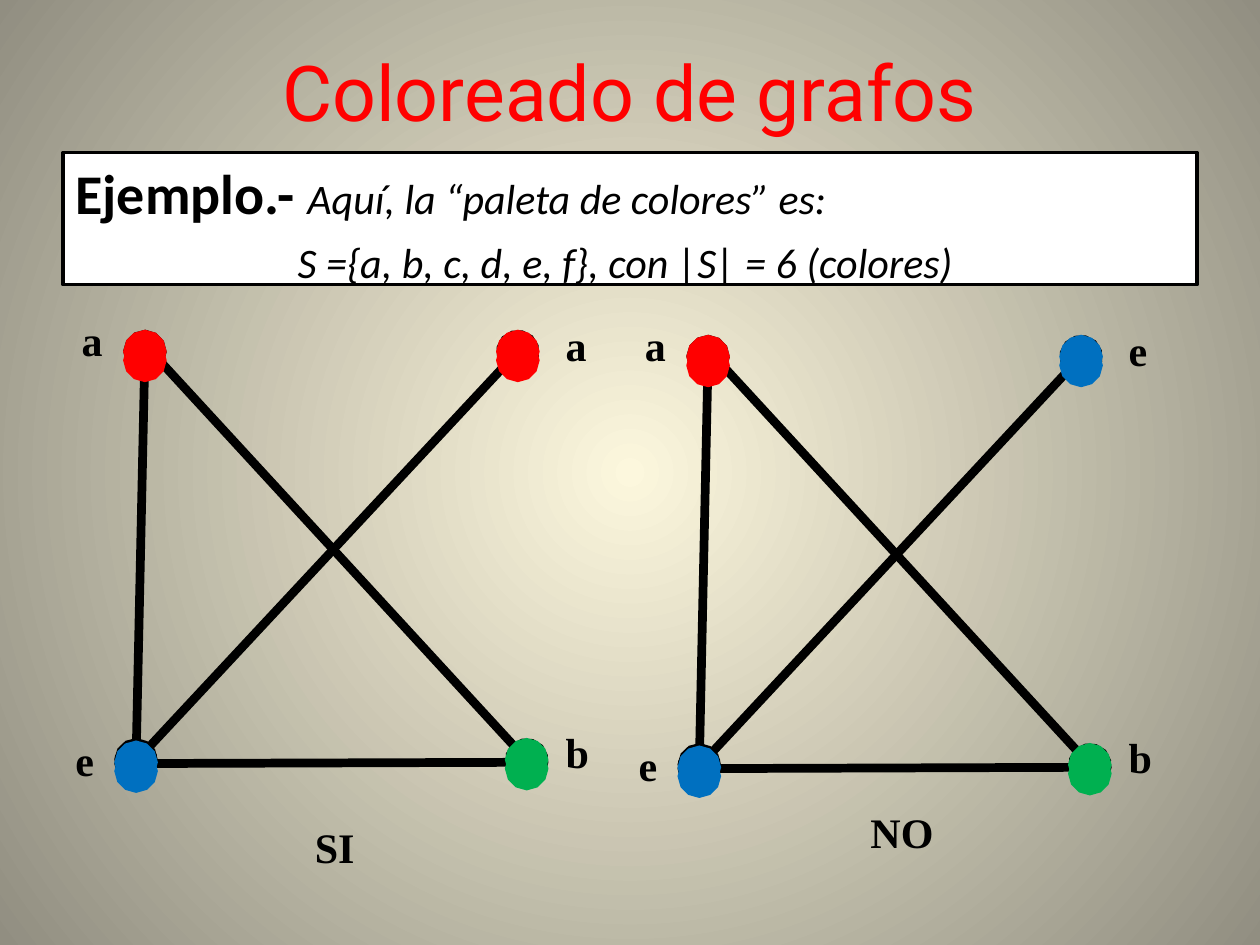
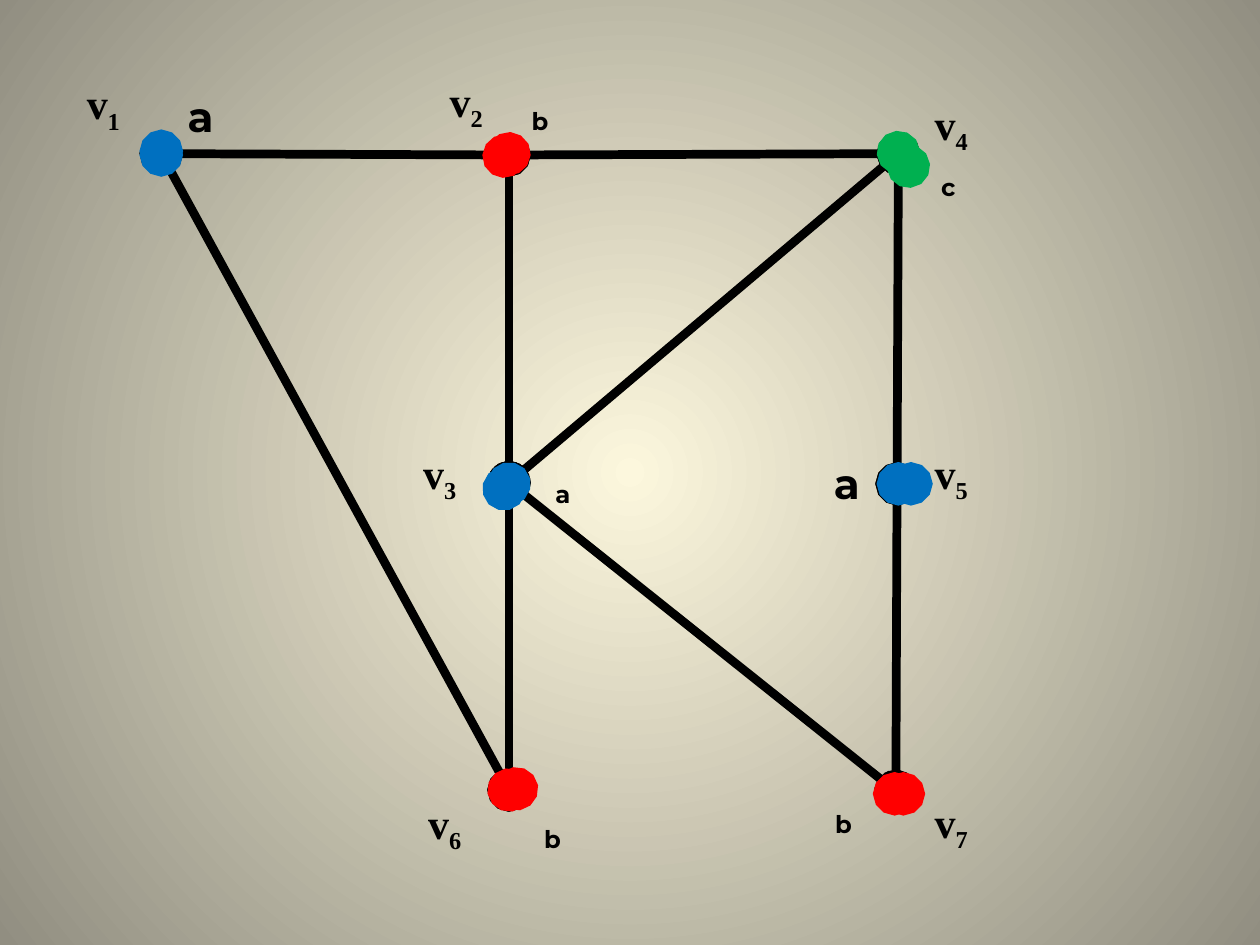
from lxml import etree
from pptx import Presentation
from pptx.dml.color import RGBColor
from pptx.enum.shapes import MSO_CONNECTOR, MSO_SHAPE
from pptx.enum.text import MSO_ANCHOR, MSO_AUTO_SIZE, PP_ALIGN
from pptx.oxml.ns import qn
from pptx.util import Inches, Pt

BLACK = RGBColor(0x00, 0x00, 0x00)
WHITE = RGBColor(0xFF, 0xFF, 0xFF)
RED = RGBColor(0xFF, 0x00, 0x00)
GREEN = RGBColor(0x00, 0xB0, 0x50)
BLUE = RGBColor(0x00, 0x70, 0xC0)
CREAM = RGBColor(0xFC, 0xF7, 0xDD)
TAUPE = RGBColor(0x91, 0x8E, 0x81)

SERIF = {"name": "Times New Roman", "size": Pt(24), "bold": True}
ROUND = {"name": "Montserrat", "size": Pt(24), "bold": True}
HEADING = {"name": "Roboto", "size": Pt(44)}
LEAD = {"name": "Calibri", "size": Pt(32), "bold": True}
REMARK = {"name": "Calibri", "size": Pt(24), "italic": True}


def draw_edge(slide, start, end, color=BLACK, tips=("headEnd", "tailEnd")):
    edge = slide.shapes.add_connector(
        MSO_CONNECTOR.STRAIGHT, *[Inches(v) for v in (*start, *end)])
    edge.line.width = Pt(5)
    edge.line.color.rgb = color
    outline = edge.element.find(".//" + qn("a:ln"))
    for tip in tips:
        etree.SubElement(outline, qn("a:" + tip), type="oval", w="lg", len="lg")
    etree.SubElement(outline.getparent(), qn("a:effectLst"))


def draw_label(slide, place, parts, style, wrap=False):
    label = slide.shapes.add_textbox(*[Inches(v) for v in place])
    frame = label.text_frame
    frame.word_wrap = wrap
    frame.auto_size = MSO_AUTO_SIZE.SHAPE_TO_FIT_TEXT
    for text, baseline in parts:
        run = frame.paragraphs[0].add_run()
        run.text = text
        run.font.color.rgb = BLACK
        for key, value in style.items():
            setattr(run.font, key, value)
    for props, (text, baseline) in zip(label.element.iter(qn("a:rPr")), parts):
        if baseline:
            props.set("baseline", str(baseline * 1000))


prs = Presentation()
prs.slide_width, prs.slide_height = Inches(10), Inches(7.5)

backdrop = prs.slide_master.background.fill
backdrop.gradient()
for stop, color in zip(backdrop.gradient_stops, (CREAM, TAUPE)):
    stop.color.rgb = color
gradient = prs.slide_master.element.find(".//" + qn("a:gradFill"))
circle = etree.Element(qn("a:path"), {"path": "circle"})
etree.SubElement(circle, qn("a:fillToRect"),
                 {side: "50000" for side in "ltrb"})
gradient.replace(gradient.find(qn("a:lin")), circle)

palette = prs.slides.add_slide(prs.slide_layouts[5])
heading = palette.shapes.title
for key, value in {"left": 0.5, "top": 0.3, "width": 9, "height": 1.25}.items():
    setattr(heading, key, Inches(value))
heading.text_frame.text = "Coloreado de grafos"
heading.text_frame.vertical_anchor = MSO_ANCHOR.TOP
heading_line = heading.text_frame.paragraphs[0]
heading_line.alignment = PP_ALIGN.CENTER
heading_font = heading_line.runs[0].font
heading_font.color.rgb = RED
for key, value in HEADING.items():
    setattr(heading_font, key, value)

example = palette.shapes.add_shape(
    MSO_SHAPE.RECTANGLE, Inches(0.5), Inches(1.21), Inches(9), Inches(1.05))
example.shadow.inherit = False
example.fill.solid()
example.fill.fore_color.rgb = WHITE
example.line.color.rgb = BLACK
example.line.width = Pt(2)
example.text_frame.word_wrap = True
example.text_frame.vertical_anchor = MSO_ANCHOR.TOP
example.text_frame.add_paragraph().space_before = Pt(6)
sentences = [
    (PP_ALIGN.JUSTIFY, [("Ejemplo.- ", LEAD),
                        ("Aquí, la “paleta de colores” es: ", REMARK)]),
    (PP_ALIGN.CENTER, [("S ={a, b, c, d, e, f}, con |S| = 6 (colores) ", REMARK)]),
]
for line, (alignment, pieces) in zip(example.text_frame.paragraphs, sentences):
    line.alignment = alignment
    for text, style in pieces:
        run = line.add_run()
        run.text = text
        run.font.color.rgb = BLACK
        for key, value in style.items():
            setattr(run.font, key, value)

BOTH, END = ("headEnd", "tailEnd"), ("tailEnd",)
square_edges = [
    ((1.08, 6.03), (1.15, 2.79), BOTH),
    ((1.08, 6.04), (4.11, 2.79), BOTH),
    ((1.2, 2.79), (4.18, 6.03), END),
    ((1.08, 6.06), (4.18, 6.05), BOTH),
]
for dx, dy, corner, corner_width, corner_color in [
        (0, 0, "a", 0.37, RED), (4.47, 0.04, "e", 0.35, BLUE)]:
    for (x1, y1), (x2, y2), tips in square_edges:
        draw_edge(palette, (x1 + dx, y1 + dy), (x2 + dx, y2 + dy), tips=tips)
    for x, y, color in [(1.15, 2.79, RED), (4.11, 2.79, corner_color),
                        (4.18, 6.03, GREEN), (1.08, 6.05, BLUE)]:
        draw_edge(palette, (x + dx, y + dy), (x + dx, y + dy + 0.07), color)
    for text, x, y, width in [("e", 0.5, 5.78, 0.35), ("a", 0.55, 2.45, 0.37),
                              (corner, 4.39, 2.49, corner_width),
                              ("b", 4.39, 5.72, 0.39)]:
        draw_label(palette, (x + dx, y + dy, width, 0.5), [(text, 0)], SERIF)
for verdict, x, y, width in [("SI", 2.4, 6.47, 0.52), ("NO", 6.81, 6.35, 0.71)]:
    draw_label(palette, (x, y, width, 0.5), [(verdict, 0)], SERIF)

coloring = prs.slides.add_slide(prs.slide_layouts[6])
vertices = {1: (1.28, 1.22), 2: (4.04, 1.23), 3: (4.04, 3.83), 4: (7.13, 1.22),
            5: (7.12, 3.84), 6: (4.04, 6.27), 7: (7.11, 6.28)}
for start, end in [(6, 1), (2, 1), (3, 2), (3, 4), (2, 4),
                   (7, 5), (3, 6), (4, 5), (7, 3)]:
    draw_edge(coloring, vertices[start], vertices[end])

for start, end, color in [
        ((1.28, 1.2), (1.28, 1.23), BLUE),
        ((4.04, 1.22), (4, 1.24), RED),
        ((4.04, 3.84), (4, 3.88), BLUE),
        ((7.13, 1.21), (7.21, 1.32), GREEN),
        ((7.13, 3.84), (7.23, 3.84), BLUE),
        ((4.04, 6.27), (4.1, 6.26), RED),
        ((7.1, 6.3), (7.17, 6.3), RED)]:
    draw_edge(coloring, start, end, color)

for number, x, y, width in [
        (1, 0.59, 0.57, 0.48), (2, 3.47, 0.55, 0.48), (3, 3.26, 3.5, 0.56),
        (4, 7.32, 0.73, 0.56), (5, 7.32, 3.5, 0.56), (6, 3.3, 6.28, 0.56),
        (7, 7.32, 6.27, 0.56)]:
    draw_label(coloring, (x, y, width, 0.5), [("v", 0), (str(number), -25)],
               SERIF, wrap=width > 0.5)

for text, x, y, width, height, baseline, wrap in [
        ("a", 1.39, 0.67, 0.43, 0.5, 0, False),
        ("b", 4.12, 0.57, 0.31, 0.37, -25, True),
        ("a", 4.31, 3.53, 0.54, 0.37, -25, True),
        ("c", 7.37, 1.09, 0.35, 0.37, -25, False),
        ("a", 6.52, 3.58, 0.43, 0.5, 0, False),
        ("b", 4.22, 6.27, 0.31, 0.37, -25, True),
        ("b", 6.53, 6.15, 0.31, 0.37, -25, True)]:
    draw_label(coloring, (x, y, width, height), [(text, baseline)], ROUND, wrap)

prs.save("out.pptx")
